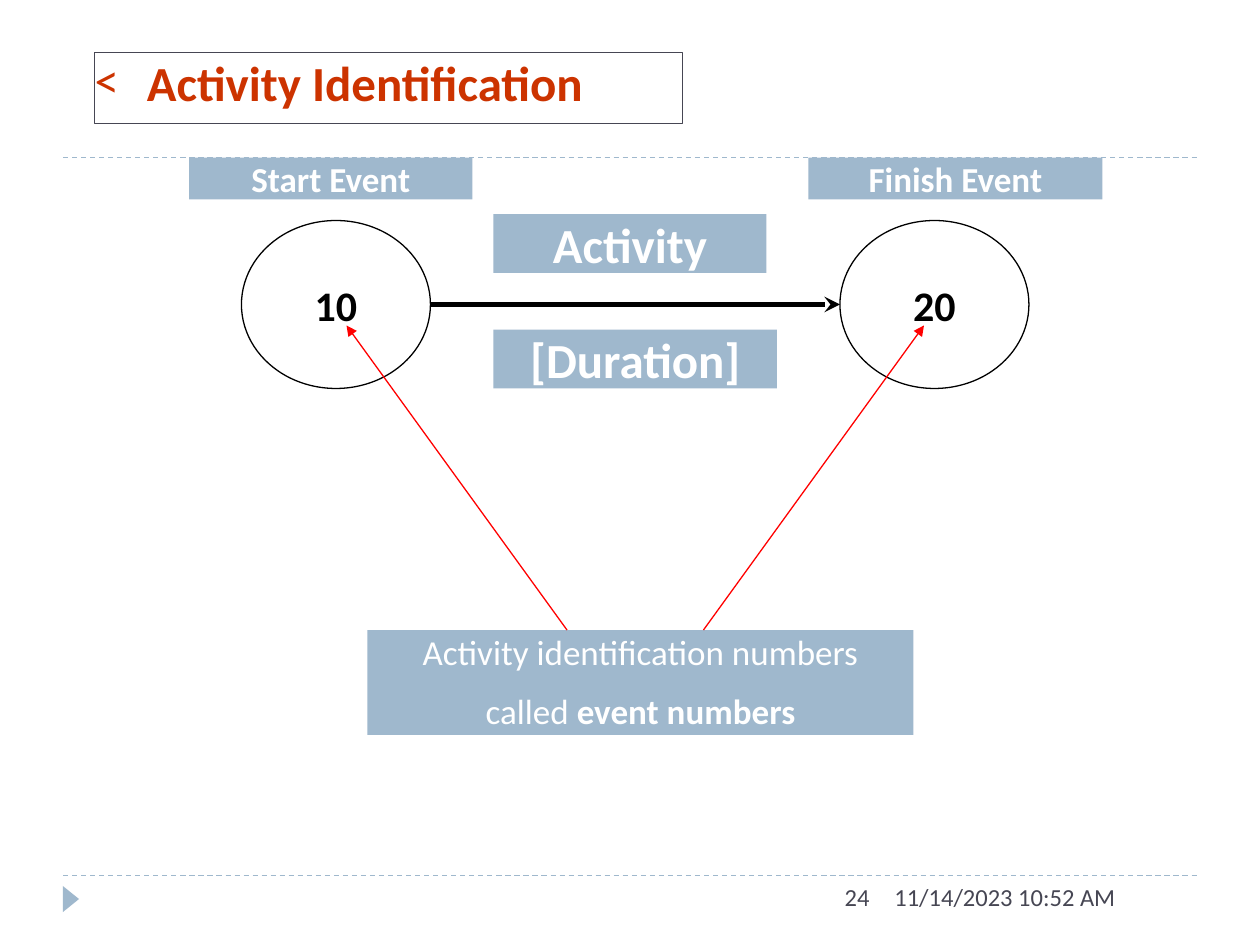
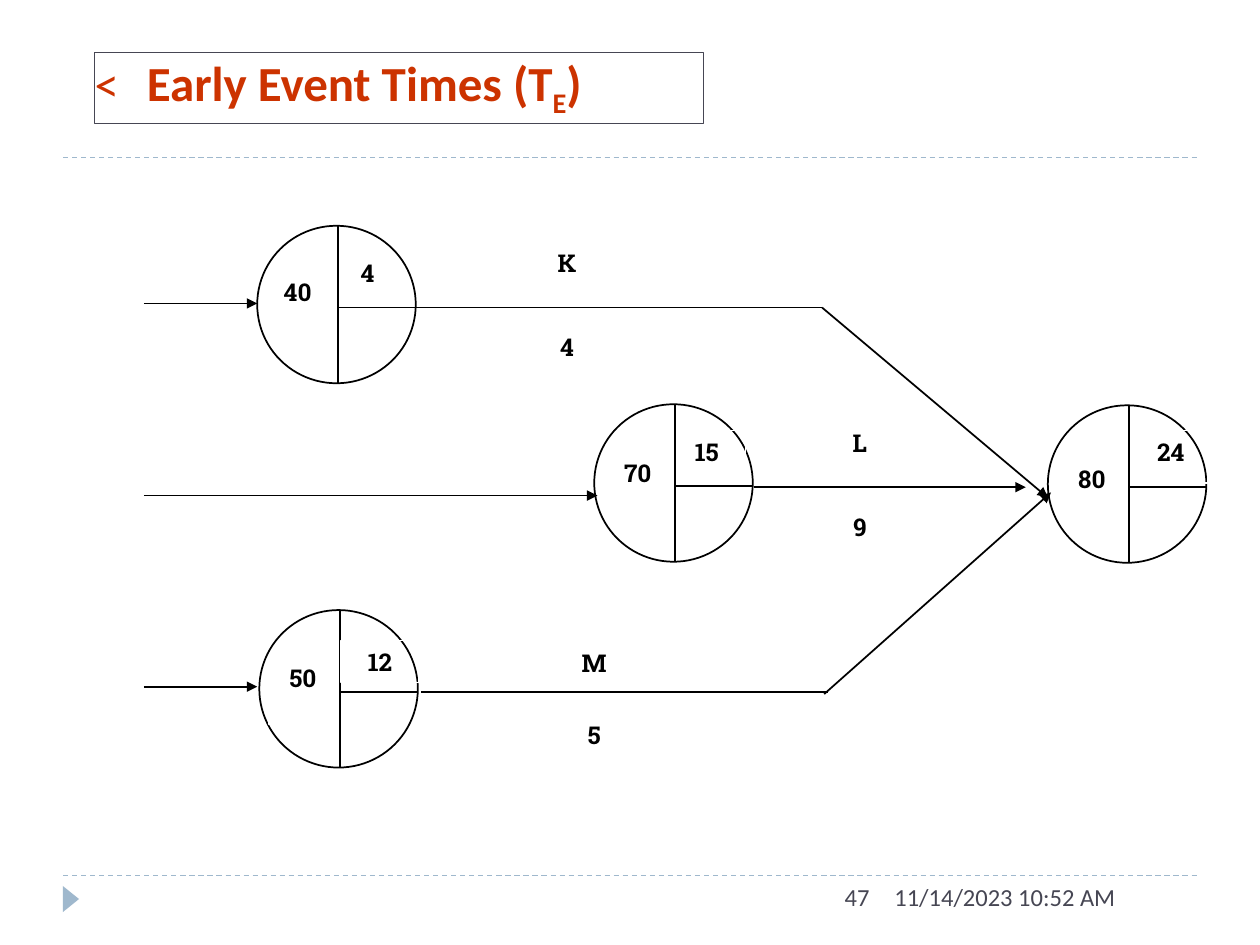
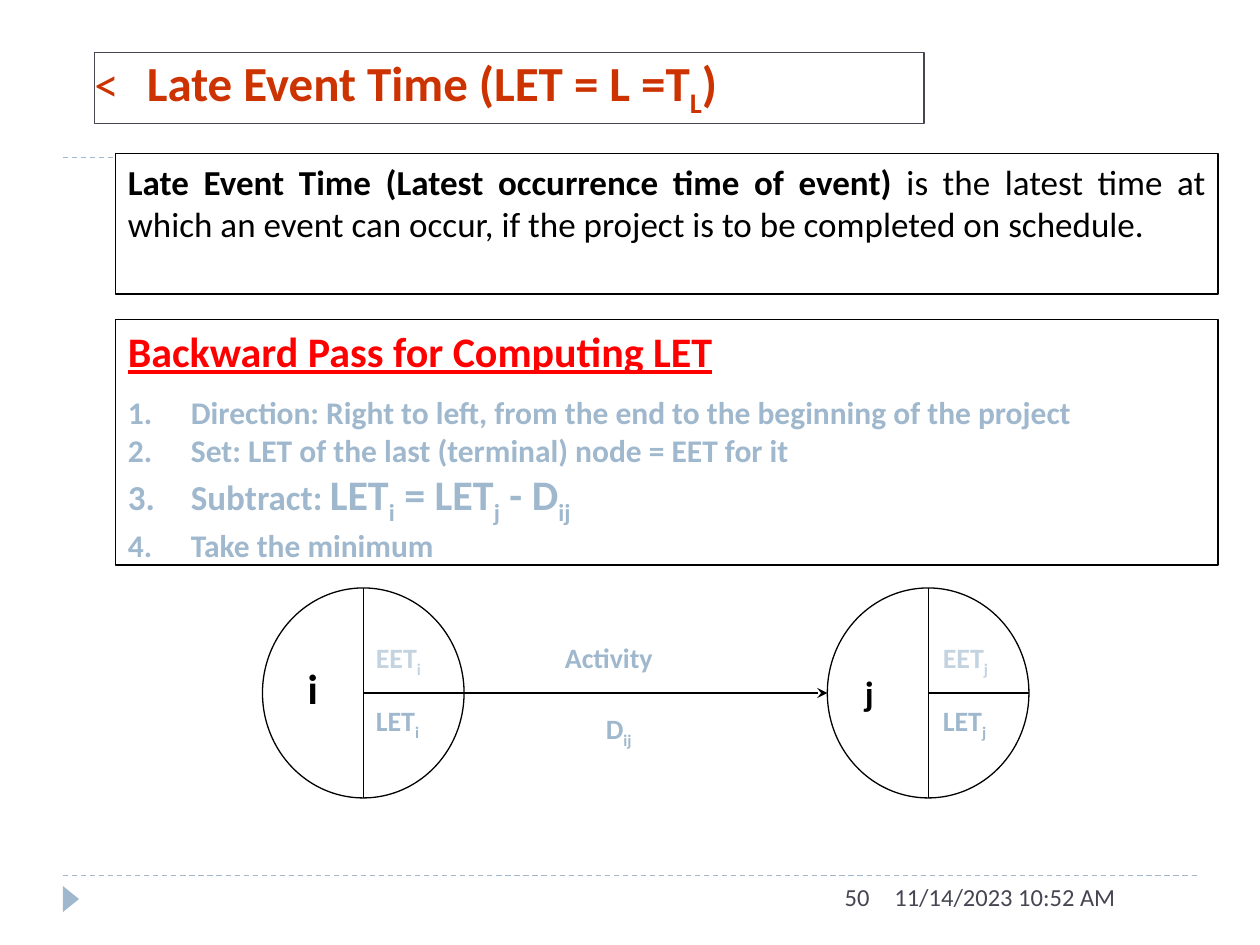
from dataclasses import dataclass, replace
from typing import NamedTuple, Optional

from lxml.etree import SubElement
from pptx import Presentation
from pptx.dml.color import RGBColor
from pptx.enum.dml import MSO_LINE_DASH_STYLE as DASH
from pptx.enum.shapes import MSO_CONNECTOR, MSO_SHAPE
from pptx.enum.text import MSO_ANCHOR, PP_ALIGN as ALIGN
from pptx.oxml.ns import qn
from pptx.util import Emu, Pt

WHITE = RGBColor(0xFF, 0xFF, 0xFF)
BLACK = RGBColor(0, 0, 0)
RED = RGBColor(0xFF, 0, 0)
BLUE = RGBColor(0x9F, 0xB8, 0xCD)
PALE = RGBColor(0xC4, 0xD3, 0xE0)
SLATE = RGBColor(0x46, 0x46, 0x53)
RUST = RGBColor(0xCC, 0x33, 0x00)

COLS, ROWS = 120, 90  # the slide is a grid of cells, 1/12 inch each
CELL = 76200
TOP_RULE, FOOT_RULE = 15, 83.4
PAD = (1.2, 0.6)


class Box(NamedTuple):
    x: float
    y: float
    w: float
    h: float


@dataclass(frozen=True)
class Style:
    size: float
    color: RGBColor = BLACK
    bold: bool = True
    underline: bool = False
    font: str = "Calibri"


class Run(NamedTuple):
    """Text in which the parts between underscores are subscripts."""
    text: str
    style: Style


@dataclass(frozen=True)
class Para:
    runs: list[Run]
    align: ALIGN = ALIGN.LEFT
    before: float = 0
    indent: float = 0
    bullet: Optional[str] = None
    number: bool = False


class Event(NamedTuple):
    number: str
    early: str
    x: float
    y: float
    number_box: Box
    early_box: Box
    early_align: ALIGN = ALIGN.CENTER


class Activity(NamedTuple):
    name: str
    duration: str
    name_box: Box
    duration_y: float


class Link(NamedTuple):
    x1: float
    y1: float
    x2: float
    y2: float
    arrow: Optional[str] = None


TITLE = Style(28, RUST)
FOOT = Style(14, SLATE, bold=False)
BANNER = Style(20, WHITE)
BIG_BANNER = Style(28, WHITE)
SLAB = Style(14, font="Roboto Slab")
STEP = Style(18, BLUE)
NOTE = Style(16, BLUE)


def u(cells: float) -> Emu:
    return Emu(round(cells * CELL))


def line(text: str, style: Style, align: ALIGN = ALIGN.LEFT) -> Para:
    return Para([Run(text, style)], align)


def add_bullet(p, para: Para) -> None:
    pPr = p._p.get_or_add_pPr()
    pPr.set("marL", str(u(para.indent)))
    pPr.set("indent", str(-u(para.indent)))
    clr = SubElement(pPr, qn("a:buClr"))
    SubElement(clr, qn("a:srgbClr"), val=str(para.runs[0].style.color))
    if para.number:
        SubElement(pPr, qn("a:buAutoNum"), type="arabicPeriod")
    else:
        SubElement(pPr, qn("a:buFont"), typeface="Calibri")
        SubElement(pPr, qn("a:buChar"), char=para.bullet)


def write(sp, paras: list[Para], pad=(0, 0), anchor=MSO_ANCHOR.TOP) -> None:
    tf = sp.text_frame
    tf.word_wrap = True
    tf.vertical_anchor = anchor
    tf.margin_left = tf.margin_right = u(pad[0])
    tf.margin_top = tf.margin_bottom = u(pad[1])
    for i, para in enumerate(paras):
        p = tf.add_paragraph() if i else tf.paragraphs[0]
        p.alignment = para.align
        if para.before:
            p.space_before = Pt(para.before)
        if para.indent:
            add_bullet(p, para)
        for text, style in para.runs:
            for k, part in enumerate(text.split("_")):
                if not part:
                    continue
                r = p.add_run()
                r.text = part
                f = r.font
                f.name, f.size, f.bold = style.font, Pt(style.size), style.bold
                f.underline = style.underline
                f.color.rgb = style.color
                if k % 2:
                    f._element.set("baseline", "-25000")


def add_box(slide, box: Box, paras=(), fill=WHITE, border=None, weight=0.75,
            kind=MSO_SHAPE.RECTANGLE, pad=(0, 0), anchor=MSO_ANCHOR.TOP):
    sp = slide.shapes.add_shape(kind, *map(u, box))
    sp.shadow.inherit = False
    if fill is None:
        sp.fill.background()
    else:
        sp.fill.solid()
        sp.fill.fore_color.rgb = fill
    if border is None:
        sp.line.fill.background()
    else:
        sp.line.color.rgb = border
        sp.line.width = Pt(weight)
    if paras:
        write(sp, paras, pad, anchor)
    return sp


def add_link(slide, link: Link, color=BLACK, weight=0.75):
    ends = map(u, link[:4])
    cn = slide.shapes.add_connector(MSO_CONNECTOR.STRAIGHT, *ends)
    cn.line.color.rgb = color
    cn.line.width = Pt(weight)
    if link.arrow:
        SubElement(cn.line._get_or_add_ln(), qn("a:tailEnd"), type=link.arrow)
    SubElement(cn._element.spPr, qn("a:effectLst"))
    return cn


def add_split_circle(slide, box: Box, mid_x: float, mid_y: float, weight: float) -> None:
    """Circle with a vertical divider and a spoke to its right edge."""
    x, y, w, h = box
    add_box(slide, box, border=BLACK, weight=weight, kind=MSO_SHAPE.OVAL)
    cx, cy = x + mid_x * w, y + mid_y * h
    add_link(slide, Link(cx, y, cx, y + h), weight=weight)
    add_link(slide, Link(cx, cy, x + w, cy), weight=weight)


def add_footer_text(slide, box: Box, text: str, align: ALIGN) -> None:
    tb = slide.shapes.add_textbox(*map(u, box))
    write(tb, [line(text, FOOT, align)], PAD)


def new_slide(prs, number: int):
    """Slide with the shared rules, marker, date and page number."""
    slide = prs.slides.add_slide(prs.slide_layouts[6])
    for y in (FOOT_RULE, TOP_RULE):
        add_link(slide, Link(6, y, COLS - 6, y), BLUE).line.dash_style = DASH.DASH
    marker = add_box(slide, Box(5.5, 84.85, 2.5, 1.55), fill=BLUE,
                     kind=MSO_SHAPE.ISOSCELES_TRIANGLE)
    marker.rotation = 90
    add_footer_text(slide, Box(84, FOOT_RULE, 30, 4.8), "11/14/2023 10:52 AM", ALIGN.LEFT)
    add_footer_text(slide, Box(38, FOOT_RULE, 46, 4.8), str(number), ALIGN.RIGHT)
    return slide


def add_title(slide, text: str, width: float) -> None:
    para = Para([Run(text, TITLE)], indent=5, bullet="<")
    add_box(slide, Box(9, 5, width, 6.75), [para], border=SLATE)


def activity_identification(prs) -> None:
    slide = new_slide(prs, 24)
    for number, x in (("20", 80), ("10", 23)):
        add_box(slide, Box(x, 21, 18, 16), [line(number, Style(24), ALIGN.CENTER)],
                border=BLACK, kind=MSO_SHAPE.OVAL, anchor=MSO_ANCHOR.MIDDLE)
    add_link(slide, Link(41, 29, 80, 29, "stealth"), weight=3)
    for text, style, box in (
        ("Activity", BIG_BANNER, Box(47, 20.4, 26, 5.6)),
        ("[Duration]", BIG_BANNER, Box(47, 31.4, 27, 5.6)),
        ("Start Event", BANNER, Box(18, TOP_RULE, 27, 4)),
        ("Finish Event", BANNER, Box(77, TOP_RULE, 28, 4)),
    ):
        add_box(slide, box, [line(text, style, ALIGN.CENTER)], fill=BLUE)
    plain = replace(BANNER, bold=False)
    add_box(slide, Box(35, 60, 52, 10), [
        line("Activity identification numbers", plain, ALIGN.CENTER),
        Para([Run("called ", plain), Run("event numbers", BANNER)], ALIGN.CENTER, before=10),
    ], fill=BLUE)
    for start, end in ((54, 33), (67, 88)):
        add_link(slide, Link(start, 60, end, 31, "triangle"), RED)
    add_title(slide, "Activity Identification", 56)


EVENTS = [
    Event("50", "12", 24.7, 58.1, Box(25.6, 62.6, 6.5, 6.4), Box(32.5, 61, 7.4, 4)),
    Event("40", "4", 24.5, 21.5, Box(25.6, 25.8, 5.5, 5.3), Box(33, 24, 4, 4)),
    Event("70", "15", 56.6, 38.5, Box(58, 43, 5.5, 6), Box(65, 41, 6, 5), ALIGN.LEFT),
    Event("80", "24", 99.8, 38.6, Box(101, 43.6, 6, 5.4), Box(108, 41, 7, 5)),
]
ACTIVITIES = [
    Activity("K", "4", Box(50, 23, 8, 4), 31),
    Activity("L", "9", Box(77.6, 40.2, 8.6, 4.8), 48.2),
    Activity("M", "5", Box(52.3, 61.1, 8.6, 4), 68),
]
NETWORK = [
    Link(13.7, 28.9, 24.5, 28.9, "triangle"),
    Link(13.7, 65.4, 24.5, 65.4, "triangle"),
    Link(13.7, 47.2, 56.9, 47.2, "triangle"),
    Link(71.8, 46.4, 97.7, 46.4, "triangle"),
    Link(39.4, 29.3, 78.3, 29.3),
    Link(78.3, 29.3, 99.8, 47.4, "triangle"),
    Link(40.1, 65.9, 78.9, 65.9),
    Link(78.5, 66.1, 100.1, 46.9, "triangle"),
]


def early_event_times(prs) -> None:
    slide = new_slide(prs, 47)
    add_title(slide, "Early Event Times (T_E_)", 58)
    for e in EVENTS:
        add_split_circle(slide, Box(e.x, e.y, 15.1, 15), 0.51, 0.52, 1)
    for link in NETWORK:
        add_link(slide, link, weight=1)
    for a in ACTIVITIES:
        for text, box in ((a.name, a.name_box),
                          (a.duration, a.name_box._replace(y=a.duration_y))):
            add_box(slide, box, [line(text, SLAB, ALIGN.CENTER)],
                    border=WHITE, weight=1, pad=PAD)
    for e in EVENTS:
        for text, box, align in ((e.number, e.number_box, ALIGN.CENTER),
                                 (e.early, e.early_box, e.early_align)):
            add_box(slide, box, [line(text, SLAB, align)], fill=None,
                    border=WHITE, weight=1, pad=PAD)


def late_event_time(prs) -> None:
    slide = new_slide(prs, 50)
    add_title(slide, "Late Event Time (LET = L =T_L_)", 79)

    steps = [
        [Run("Direction: Right to left, from the end to the beginning of the project", STEP)],
        [Run("Set: LET of the last (terminal) node = EET for it", STEP)],
        [Run("Subtract:", replace(STEP, size=20)), Run(" ", STEP),
         Run("LET_i_ = LET_j_ - D_ij_", replace(STEP, size=24))],
        [Run("Take the minimum", STEP)],
    ]
    heading = line("Backward Pass for Computing LET", Style(24, RED, underline=True))
    numbered = [Para(runs, before=0 if i else 10, indent=6, number=True)
                for i, runs in enumerate(steps)]
    add_box(slide, Box(11, 30.4, 105, 23.4), [heading, *numbered], border=BLACK, pad=PAD)
    definition = Para([
        Run("Late Event Time (Latest occurrence time of event)", Style(20)),
        Run(" is the latest time at which an event can occur, if the project is to be "
            "completed on schedule.", Style(20, bold=False)),
    ], ALIGN.JUSTIFY)
    add_box(slide, Box(11, 14.65, 105, 13.35), [definition], border=BLACK, pad=PAD)

    for name, size, x, label_box, times_x in (
        ("i", 24, 25, Box(26.8, 63.1, 6, 4.8), 35.8),
        ("j", 20, 78.8, Box(79.8, 64, 6, 4.1), 89.8),
    ):
        add_split_circle(slide, Box(x, 56, 19.2, 20), 0.5, 0.5, 0.75)
        add_box(slide, label_box, [line(name, Style(size), ALIGN.CENTER)])
        for time, color, y in (("EET", PALE, 61), ("LET", BLUE, 67)):
            add_box(slide, Box(times_x, y, 6.5, 3.2),
                    [line(f"{time}_{name}_", replace(NOTE, color=color))])
    add_box(slide, Box(53.8, 61, 11, 3.2), [line("Activity", NOTE)])
    add_box(slide, Box(57.7, 67.8, 5, 3.2), [line("D_ij_", NOTE)])
    add_link(slide, Link(44.2, 66, 78.8, 66, "stealth"), weight=1.5)


def main() -> None:
    prs = Presentation()
    prs.slide_width, prs.slide_height = u(COLS), u(ROWS)
    activity_identification(prs)
    early_event_times(prs)
    late_event_time(prs)
    prs.save("out.pptx")


if __name__ == "__main__":
    main()
